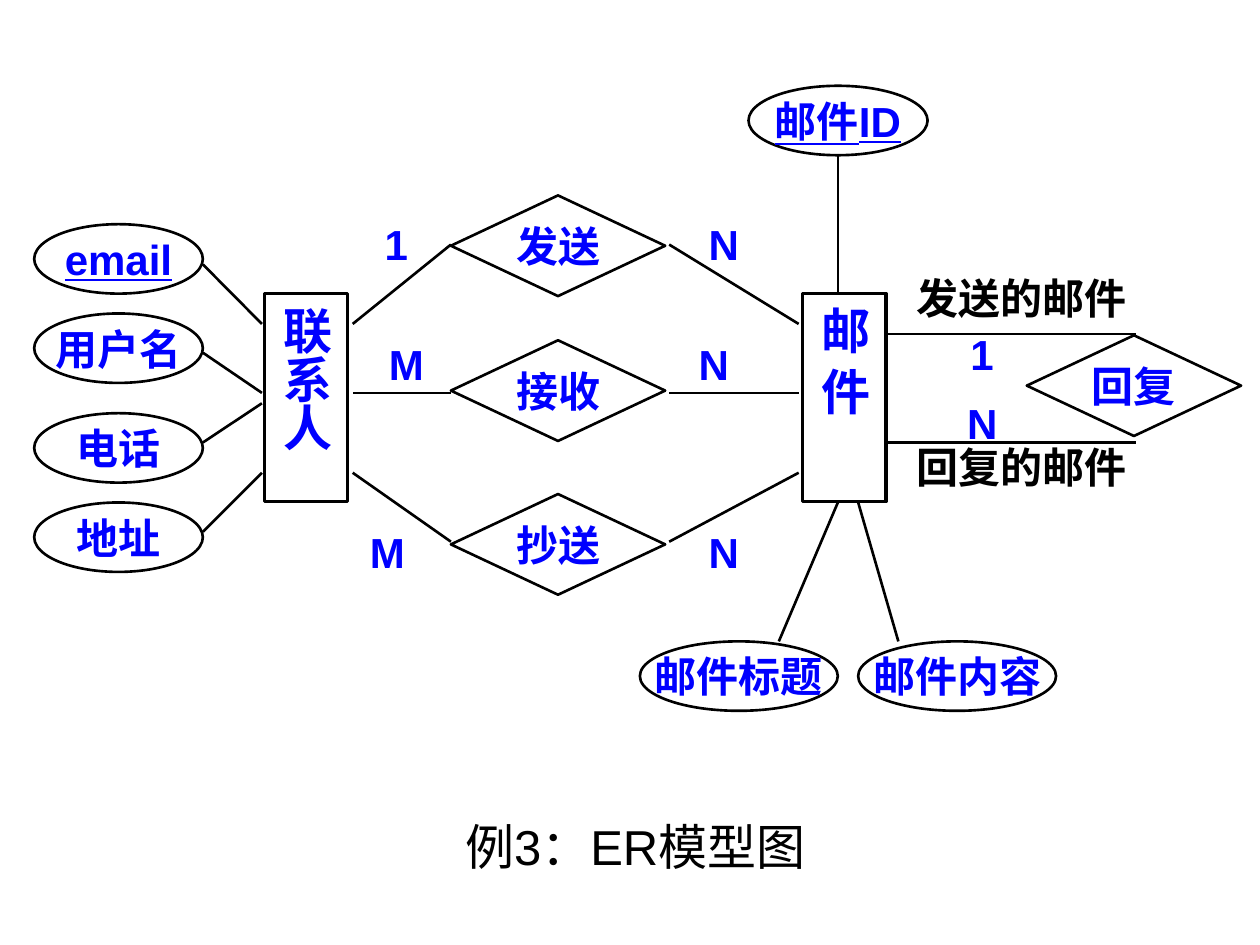
from lxml import etree
from pptx import Presentation
from pptx.dml.color import RGBColor
from pptx.enum.shapes import MSO_CONNECTOR, MSO_SHAPE
from pptx.enum.text import MSO_ANCHOR, MSO_AUTO_SIZE, PP_ALIGN
from pptx.oxml.ns import qn
from pptx.util import Cm, Pt

ELLIPSE, DIAMOND, RECTANGLE = MSO_SHAPE.OVAL, MSO_SHAPE.DIAMOND, MSO_SHAPE.RECTANGLE
STRAIGHT = MSO_CONNECTOR.STRAIGHT
MIDDLE, TOP = MSO_ANCHOR.MIDDLE, MSO_ANCHOR.TOP
GROW = MSO_AUTO_SIZE.SHAPE_TO_FIT_TEXT
CENTER = PP_ALIGN.CENTER

COLORS = {"ink": "000000", "term": "0000FF"}
CJK, LATIN = "Noto Sans CJK SC", "Arial"

ENTITY_TOP, ENTITY_WIDTH, ENTITY_HEIGHT = 5.92, 1.68, 4.19
ATTRIBUTE_HEIGHT = 1.4
DIAMOND_WIDTH, DIAMOND_HEIGHT = 4.32, 2.03

# name, top, line start y, line end y at the contact
CONTACT_ATTRIBUTES = [
    ("email", 4.52, 5.33, 6.53),
    ("用户名", 6.32, 7.11, 7.92),
    ("电话", 8.33, 8.92, 8.13),
    ("地址", 10.13, 10.72, 9.53),
]
# name, left, top, width, line start, line end
MAIL_ATTRIBUTES = [
    ("邮件ID", 15.09, 1.73, 3.61, (16.89, 3.12), (16.89, 5.92)),
    ("邮件标题", 12.9, 12.93, 3.99, (15.7, 12.93), (16.89, 10.13)),
    ("邮件内容", 17.3, 12.93, 3.99, (17.3, 10.13), (18.11, 12.93)),
]
KEYS = {"email", "邮件ID"}
# name, top, line y at diamond, line y at entity, label top, (label, left) pairs
RELATIONS = [
    ("发送", 3.94, 4.93, 6.53, 4.52, [("1", 7.29), ("N", 13.89)]),
    ("接收", 6.86, 7.92, 7.92, 6.93, [("M", 7.49), ("N", 13.69)]),
    ("抄送", 9.96, 10.92, 9.53, 10.72, [("M", 7.11), ("N", 13.89)]),
]
# role, role top, line y, cardinality, cardinality top
REPLY_ROLES = [
    ("发送的邮件", 5.51, 6.73, "1", 6.73),
    ("回复的邮件", 8.92, 8.92, "N", 8.13),
]


def write(shape, text, size=24, color="term", bold=True, underline=False,
          anchor=MIDDLE, wrap=False, margins=(0.25, 0.13)):
    frame = shape.text_frame
    frame.word_wrap = wrap
    frame.vertical_anchor = anchor
    frame.margin_left = frame.margin_right = Cm(margins[0])
    frame.margin_top = frame.margin_bottom = Cm(margins[1])
    paragraph = frame.paragraphs[0]
    paragraph.alignment = CENTER
    run = paragraph.add_run()
    run.text = text
    font = run.font
    font.size, font.bold, font.underline = Pt(size), bold, underline
    font.color.rgb = RGBColor.from_string(COLORS[color])
    font.name = LATIN
    east_asian = etree.SubElement(run._r.get_or_add_rPr(), qn("a:ea"))
    east_asian.set("typeface", CJK)


def add_outline(slide, kind, left, top, width, height, line_width=1.5):
    shape = slide.shapes.add_shape(kind, Cm(left), Cm(top), Cm(width), Cm(height))
    shape.shadow.inherit = False
    shape.fill.background()
    shape.line.color.rgb = RGBColor.from_string(COLORS["ink"])
    shape.line.width = Pt(line_width)
    return shape


def add_entity(slide, name, left):
    """Add a box whose name runs downwards; narrow side margins fit the column."""
    entity = add_outline(slide, RECTANGLE, left, ENTITY_TOP,
                         ENTITY_WIDTH, ENTITY_HEIGHT, line_width=2)
    write(entity, name, size=28, wrap=True, margins=(0.12, 0.25))
    entity.text_frame.auto_size = GROW
    entity.text_frame._txBody.bodyPr.set("vert", "eaVert")


def add_attribute(slide, name, left, top, width):
    attribute = add_outline(slide, ELLIPSE, left, top, width, ATTRIBUTE_HEIGHT)
    write(attribute, name, underline=name in KEYS)


def add_relation(slide, name, left, top):
    relation = add_outline(slide, DIAMOND, left, top, DIAMOND_WIDTH, DIAMOND_HEIGHT)
    write(relation, name, wrap=True, margins=(0, 0))


def add_line(slide, start, end):
    line = slide.shapes.add_connector(STRAIGHT, *map(Cm, start + end))
    line.line.color.rgb = RGBColor.from_string(COLORS["ink"])
    line.line.width = Pt(1.5)
    etree.SubElement(line._element.spPr, qn("a:effectLst"))


def add_label(slide, text, left, top, width=1.4, height=0.79, **text_format):
    label = slide.shapes.add_textbox(Cm(left), Cm(top), Cm(width), Cm(height))
    write(label, text, **text_format)


def add_contact(slide):
    add_entity(slide, "联系人", 5.33)
    for name, top, start_y, end_y in CONTACT_ATTRIBUTES:
        add_attribute(slide, name, 0.69, top, 3.4)
        add_line(slide, (4.09, start_y), (5.28, end_y))


def add_mail(slide):
    add_entity(slide, "邮 件", 16.18)
    for name, left, top, width, start, end in MAIL_ATTRIBUTES:
        add_attribute(slide, name, left, top, width)
        add_line(slide, start, end)


def add_contact_mail_relations(slide):
    for name, top, diamond_y, entity_y, label_top, cardinalities in RELATIONS:
        add_relation(slide, name, 9.09, top)
        add_line(slide, (9.09, diamond_y), (7.11, entity_y))
        add_line(slide, (13.49, diamond_y), (16.1, entity_y))
        for cardinality, left in cardinalities:
            add_label(slide, cardinality, left, label_top)


def add_reply_relation(slide):
    add_relation(slide, "回复", 20.7, 6.76)
    for role, role_top, line_y, cardinality, cardinality_top in REPLY_ROLES:
        add_line(slide, (17.91, line_y), (22.91, line_y))
        add_label(slide, role, 18.29, role_top, 4.6, 0.99,
                  color="ink", margins=(0, 0.13))
        add_label(slide, cardinality, 19.1, cardinality_top)


def main():
    deck = Presentation()
    deck.slide_width, deck.slide_height = Cm(25.4), Cm(19.05)
    slide = deck.slides.add_slide(deck.slide_layouts.get_by_name("Blank"))
    add_contact(slide)
    add_mail(slide)
    add_contact_mail_relations(slide)
    add_reply_relation(slide)
    add_label(slide, "例3：ER模型图", 5.11, 16.33, 15.39, 1.45,
              size=28, color="ink", bold=False, anchor=TOP, wrap=True)
    deck.save("out.pptx")


if __name__ == "__main__":
    main()
